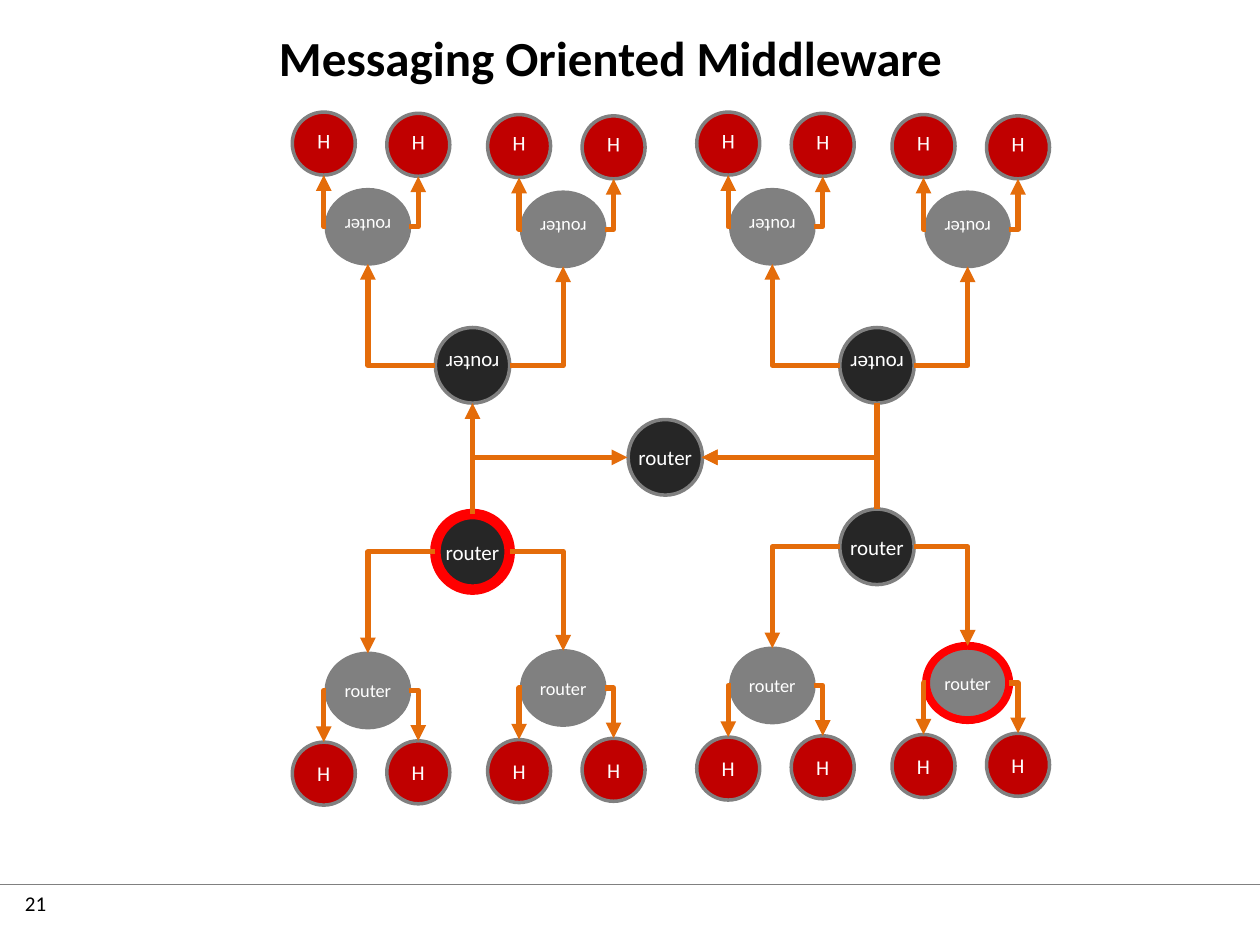
from lxml import etree
from pptx import Presentation
from pptx.dml.color import RGBColor
from pptx.enum.shapes import MSO_CONNECTOR, MSO_SHAPE
from pptx.enum.text import MSO_ANCHOR, PP_ALIGN
from pptx.oxml.ns import qn
from pptx.util import Inches, Pt

OVAL = MSO_SHAPE.OVAL
STRAIGHT, ELBOW = MSO_CONNECTOR.STRAIGHT, MSO_CONNECTOR.ELBOW
MIDDLE, TOP = MSO_ANCHOR.MIDDLE, MSO_ANCHOR.TOP
CENTER, LEFT = PP_ALIGN.CENTER, PP_ALIGN.LEFT

COLORS = {"hub": "262626", "router": "808080", "host": "C00000",
          "edge": "808080", "alert": "FF0000", "link": "E46C0A",
          "dark": "000000", "light": "FFFFFF"}

# Kind of node: width, height, label, text size
NODES = {"hub": (0.59, 0.6, "router", 12),
         "router": (0.66, 0.59, "router", 10.5),
         "host": (0.5, 0.5, "H", 12)}

# Offsets of children from the centre of their parent
ROUTERS = [(-0.83, 1.1), (0.72, 1.08)]
HOSTS = [(-0.35, 0.66), (0.4, 0.65)]


class Deck:
    def __init__(self):
        self.prs = Presentation()
        self.prs.slide_width, self.prs.slide_height = Inches(10), Inches(7.5)
        self.slide = self.prs.slides.add_slide(self.prs.slide_layouts[6])
        self.font = "Calibri"

    def color(self, name):
        return RGBColor.from_string(COLORS[name])

    def style(self, shape, text, size, color, align, anchor, bold=False):
        frame = shape.text_frame
        frame.text = text
        frame.vertical_anchor = anchor
        para = frame.paragraphs[0]
        para.alignment = align
        font = para.runs[0].font
        font.name, font.size, font.bold = self.font, Pt(size), bold
        font.color.rgb = self.color(color)

    def label(self, box, text, size, align, anchor, bold=False):
        shape = self.slide.shapes.add_textbox(*map(Inches, box))
        shape.text_frame.word_wrap = True
        self.style(shape, text, size, "dark", align, anchor, bold)

    def node(self, kind, x, y, flip=False, edge="edge", weight=2):
        wide, high, text, size = NODES[kind]
        shape = self.slide.shapes.add_shape(
            OVAL, Inches(x - wide / 2), Inches(y - high / 2), Inches(wide), Inches(high))
        shape.shadow.inherit = False
        shape.fill.solid()
        shape.fill.fore_color.rgb = self.color(kind)
        shape.line.color.rgb = self.color(edge)
        shape.line.width = Pt(weight)
        frame = shape.text_frame
        frame.margin_left = frame.margin_right = 0
        frame.margin_top = frame.margin_bottom = 0
        frame.word_wrap = False
        self.style(shape, text, size, "light", CENTER, MIDDLE)
        if flip:
            shape._element.spPr.find(qn("a:xfrm")).set("flipV", "1")

    def link(self, start, end, kind=ELBOW, color="link", weight=3, arrow=None):
        """Elbows leave the start sideways and reach the end upright."""
        line = self.slide.shapes.add_connector(kind, *map(Inches, start + end))
        line.line.color.rgb = self.color(color)
        line.line.width = Pt(weight)
        props = line._element.spPr
        if kind == ELBOW:
            props.find(qn("a:prstGeom")).set("prst", "bentConnector2")
        if arrow:
            tip = etree.SubElement(props.find(qn("a:ln")), qn("a:" + arrow))
            tip.set("type", "triangle")
        etree.SubElement(props, qn("a:effectLst"))

    def branch(self, parent, child, hub, leaf, way):
        """Arrow from the side of a parent to the near end of its child."""
        side = 1 if leaf[0] > hub[0] else -1
        start = (hub[0] + side * NODES[parent][0] / 2, hub[1])
        end = (leaf[0], leaf[1] - way * NODES[child][1] / 2)
        self.link(start, end, arrow="tailEnd")

    def tree(self, x, y, way, alert=None):
        """Hub, two routers and four hosts, growing down (1) or up (-1)."""
        flip = way < 0
        hub = (x, y)
        marked = {"edge": "alert", "weight": 6} if alert == "hub" else {}
        self.node("hub", x, y, flip, **marked)
        links = []
        for index, (dx, dy) in enumerate(ROUTERS):
            router = (x + dx, y + way * dy)
            marked = {"edge": "alert", "weight": 4.5} if alert == index else {}
            self.node("router", *router, flip, **marked)
            links.append(("hub", "router", hub, router))
            for hx, hy in HOSTS:
                host = (router[0] + hx, router[1] + way * hy)
                self.node("host", *host, flip)
                links.append(("router", "host", router, host))
        for item in links:
            self.branch(*item, way)


def main():
    deck = Deck()

    # Footer and title
    deck.label((0.1, 7.02, 0.8, 0.4), "21", 12, LEFT, TOP)
    deck.link((0, 7.02), (10, 7.02), STRAIGHT, "edge", 0.75)
    deck.label((0.91, 0.19, 7.87, 0.52), "Messaging Oriented Middleware",
               28, CENTER, MIDDLE, True)

    # Four trees around the central router
    west, east, north = 3.75, 6.96, 2.9
    deck.tree(east, 4.34, 1, alert=1)
    deck.node("hub", 5.28, 3.63)
    deck.tree(west, 4.38, 1, alert="hub")
    deck.tree(east, north, -1)
    deck.tree(west, north, -1)

    # Links between the hubs
    left, right = (4.98, 3.63), (5.57, 3.63)
    deck.link(left, (west, 4.08), arrow="headEnd")
    deck.link((west, 3.2), (west, 4.08), STRAIGHT, arrow="headEnd")
    deck.link(right, (east, 4.04), arrow="headEnd")
    deck.link(right, (east, 3.2), arrow="headEnd")

    deck.prs.save("out.pptx")


if __name__ == "__main__":
    main()
